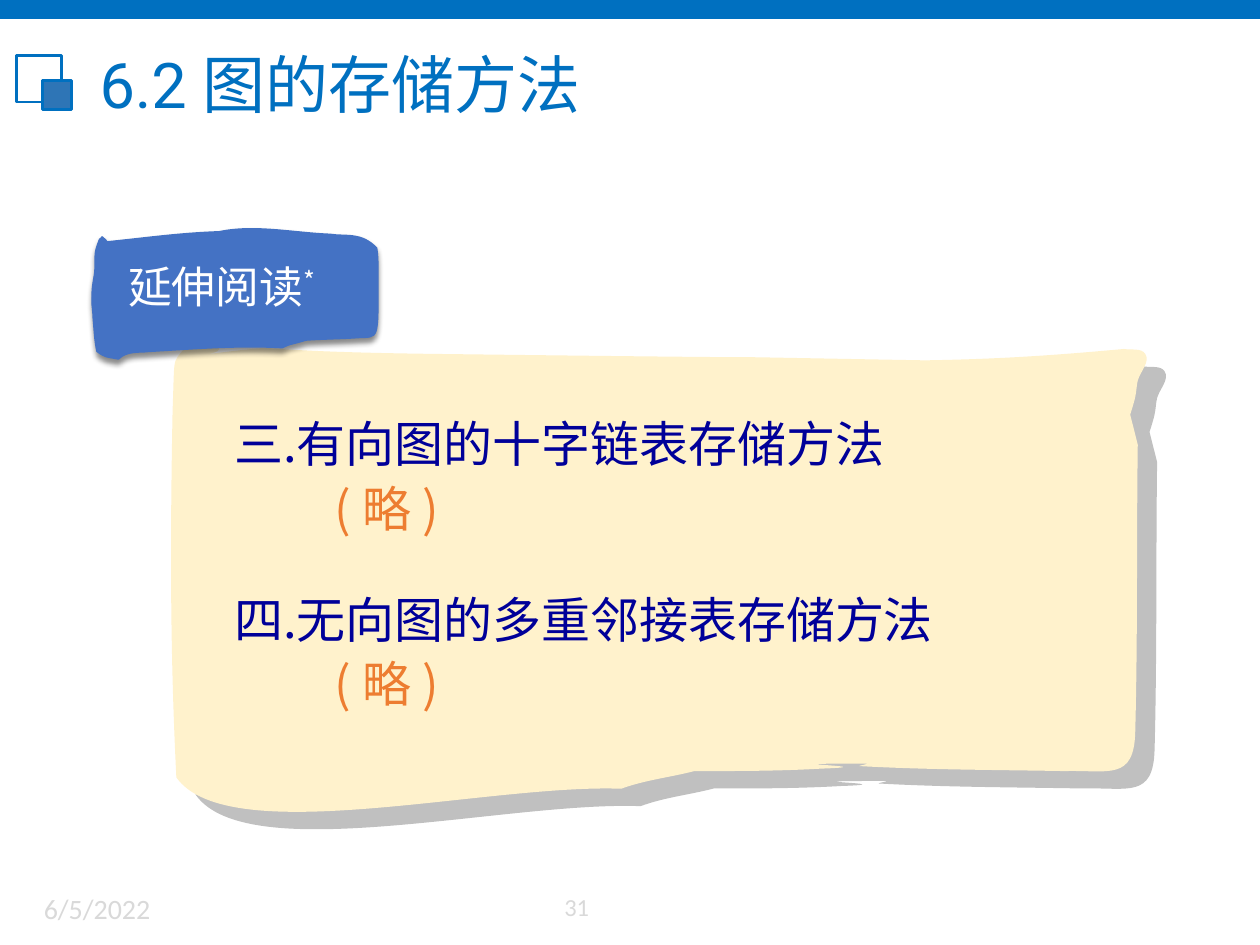
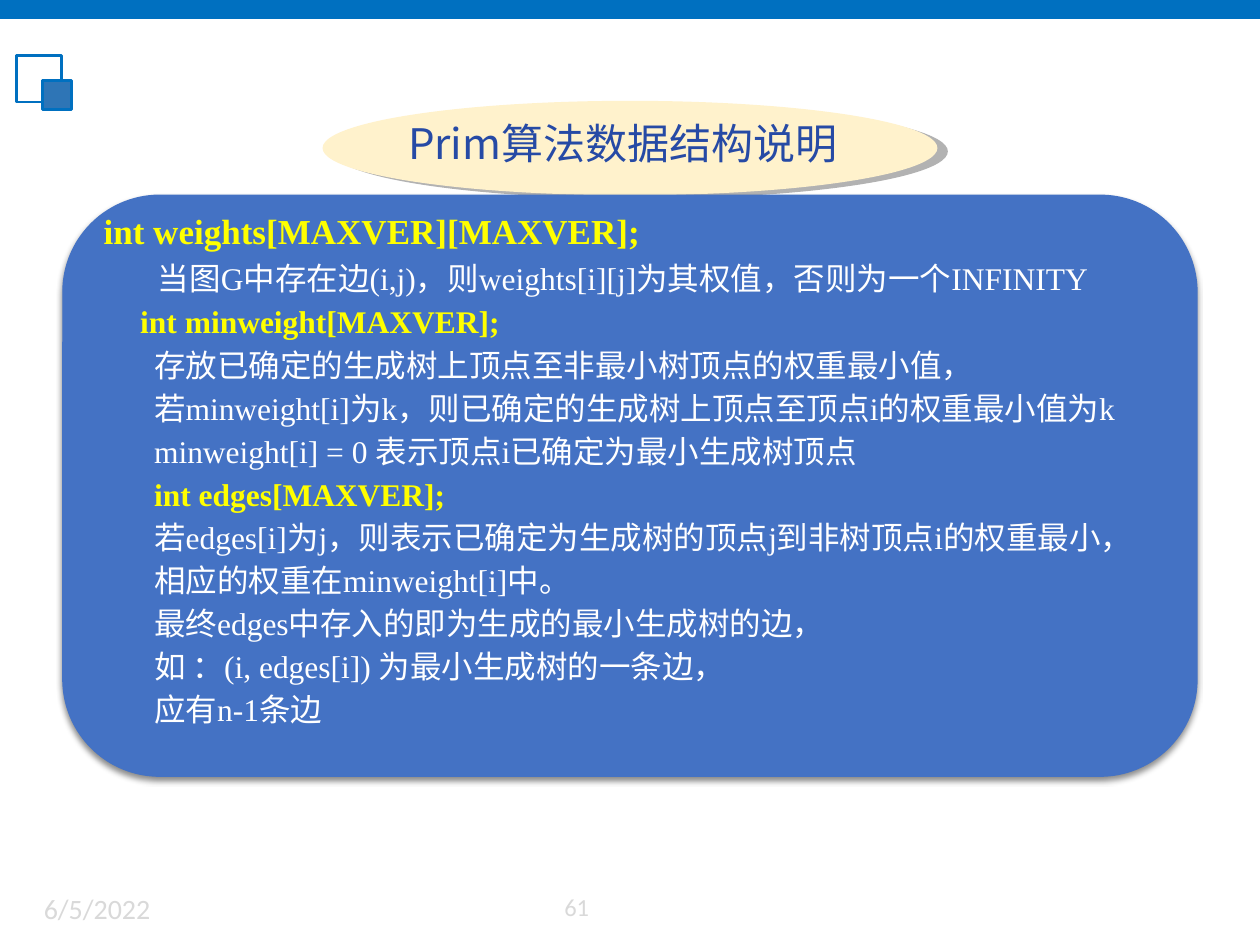
"""Builds two slides on graph storage methods and the data structures of Prim's algorithm."""
from dataclasses import dataclass

from lxml.etree import SubElement
from pptx import Presentation
from pptx.dml.color import RGBColor
from pptx.enum.shapes import MSO_SHAPE
from pptx.enum.text import MSO_ANCHOR, MSO_AUTO_SIZE, PP_ALIGN
from pptx.oxml.ns import qn
from pptx.util import Pt

PX = 9144


@dataclass(frozen=True)
class Theme:
    brand: str = "0070C0"
    icon: str = "2E75B6"
    footer: str = "D9D9D9"
    paper: str = "FFF2CC"
    panel: str = "4472C4"
    heading: str = "000099"
    note: str = "ED7D31"
    caption: str = "264AA5"
    code: str = "FFFF00"
    light: str = "FFFFFF"
    cjk: str = "Noto Sans CJK SC"
    title_font: str = "Roboto"
    footer_font: str = "Calibri"
    code_font: str = "Times New Roman"
    title_size: int = 36
    heading_size: int = 28
    tag_size: int = 25
    caption_size: int = 24
    lead_size: int = 20
    body_size: int = 18
    date_size: int = 16
    page_size: int = 14
    panel_line: float = 0.79
    icon_line: float = 1.5


T = Theme()

PANEL_SHADOW = ("000000", 45, 3, 2.4, 90)
CARD_SHADOW = ("C0C0C0", 100, 0, 14.9, 42)
CAPTION_SHADOW = ("B2B2B2", 100, 0, 6.3, 18)

DATE = "6/5/2022"
TITLE = "6.2 图的存储方法"
TAG = "延伸阅读"
HEADINGS = ["三.有向图的十字链表存储方法", "四.无向图的多重邻接表存储方法"]
NOTE = "( 略 )"
CAPTION = "Prim算法数据结构说明"

PRIM_LINES = [
    (0, "code", "int weights[MAXVER][MAXVER];"),
    (43, "light", "当图G中存在边(i,j)，则weights[i][j]为其权值，否则为一个INFINITY"),
    (29, "code", "int minweight[MAXVER];"),
    (40, "light", "存放已确定的生成树上顶点至非最小树顶点的权重最小值，"),
    (40, "light", "若minweight[i]为k，则已确定的生成树上顶点至顶点i的权重最小值为k"),
    (40, "light", "minweight[i] = 0 表示顶点i已确定为最小生成树顶点"),
    (40, "code", "int edges[MAXVER];"),
    (40, "light", "若edges[i]为j，则表示已确定为生成树的顶点j到非树顶点i的权重最小，"),
    (40, "light", "相应的权重在minweight[i]中。"),
    (40, "light", "最终edges中存入的即为生成的最小生成树的边，"),
    (40, "light", "如 ：(i, edges[i]) 为最小生成树的一条边，"),
    (40, "light", "应有n-1条边"),
]

CARD_CURVE = [
    (165, 281), (241, 272), (174, 279), (354, 281),
    (759, 286), (457, 281), (734, 286), (794, 285), (837, 282), (892, 277),
    (898, 278), (906, 276), (909, 281), (913, 287), (905, 295), (903, 302),
    (902, 306), (902, 311), (901, 315), (900, 320), (897, 329), (897, 329),
    (899, 337), (903, 353), (903, 353), (902, 429), (903, 505), (901, 581),
    (900, 620), (880, 611), (845, 612), (791, 611), (736, 611), (682, 608),
    (680, 608), (691, 606), (688, 606), (591, 606), (711, 608), (652, 610),
    (618, 612), (585, 612), (551, 612), (532, 617), (512, 619), (493, 626),
    (387, 622), (181, 675), (140, 617), (135, 518), (135, 430), (137, 326),
    (139, 272), (136, 294), (152, 268), (171, 272), (152, 267), (167, 275),
    (170, 276), (175, 275), (174, 277), (173, 280), (168, 280), (165, 281),
]
TAG_CURVE = [
    (79, 190), (80, 190), (81, 188), (81, 188), (83, 189), (85, 192), (85, 192),
    (115, 189), (143, 185), (174, 184), (202, 178), (234, 185), (262, 186),
    (274, 188), (287, 184), (299, 197), (300, 204), (300, 209), (300, 218),
    (300, 272), (301, 267), (284, 268), (270, 269), (257, 269), (243, 270),
    (226, 275), (233, 272), (224, 276), (188, 274), (153, 277), (118, 279),
    (112, 280), (101, 278), (94, 285), (84, 283), (84, 284), (77, 279),
    (75, 270), (75, 263), (74, 253), (74, 249), (73, 241), (73, 241),
    (73, 235), (73, 229), (74, 224), (74, 222), (75, 220), (75, 218),
    (76, 212), (75, 204), (76, 199), (77, 195), (78, 193), (79, 190),
]


def emu(*lengths):
    return [n * PX for n in lengths]


def rgb(color):
    return RGBColor.from_string(color)


def style_run(r, size, color, font=T.cjk, bold=False):
    r.font.size, r.font.bold = Pt(size), bold
    r.font.color.rgb = rgb(color)
    r.font.name = font
    SubElement(r._r.get_or_add_rPr(), qn("a:ea")).set("typeface", T.cjk)


def style_shape(sp, fill=None, line=None, width=1.0, shadow=None):
    if fill:
        sp.fill.solid()
        sp.fill.fore_color.rgb = rgb(fill)
    else:
        sp.fill.background()
    if line:
        sp.line.color.rgb, sp.line.width = rgb(line), Pt(width)
    else:
        sp.line.fill.background()
    sp.shadow.inherit = False
    if shadow:
        color, alpha, blur, dist, angle = shadow
        effects = sp._element.spPr.find(qn("a:effectLst"))
        outer = SubElement(effects, qn("a:outerShdw"), blurRad=str(Pt(blur)), dist=str(Pt(dist)),
                           dir=str(angle * 60000), algn="ctr", rotWithShape="0")
        clr = SubElement(outer, qn("a:srgbClr"), val=color)
        SubElement(clr, qn("a:alpha"), val=str(alpha * 1000))


def add_box(s, kind, at, **style):
    sp = s.shapes.add_shape(kind, *emu(*at))
    style_shape(sp, **style)
    return sp


def add_label(s, at, text, size, color, font=T.cjk, wrap=True):
    tf = s.shapes.add_textbox(*emu(*at)).text_frame
    tf.word_wrap, tf.vertical_anchor = wrap, MSO_ANCHOR.TOP
    tf.text = text
    for p in tf.paragraphs:
        style_run(p.runs[0], size, color, font)
    return tf


def add_blob(s, knots, **style):
    fb = s.shapes.build_freeform(*knots[0], scale=PX)
    fb.add_line_segments(knots[1:], close=True)
    sp = fb.convert_to_shape()
    style_shape(sp, **style)
    outline = next(sp._element.iter(qn("a:pathLst")))[0]
    corners = outline.findall(qn("a:lnTo"))
    close = outline.find(qn("a:close"))
    for i in range(0, len(corners), 3):
        curve = SubElement(outline, qn("a:cubicBezTo"))
        for corner in corners[i:i + 3]:
            curve.append(corner[0])
            outline.remove(corner)
    outline.append(close)


def add_page(prs, layout, number):
    s = prs.slides.add_slide(prs.slide_layouts[layout])
    rect = MSO_SHAPE.RECTANGLE
    add_box(s, rect, (0, 0, 1000, 15), fill=T.brand)
    add_box(s, rect, (13, 44, 36, 37), line=T.brand, width=T.icon_line)
    add_box(s, rect, (34, 64, 23, 23), fill=T.icon, line=T.brand, width=T.icon_line)
    add_label(s, (25, 703, 184, 40), DATE, T.date_size, T.footer, T.footer_font)
    add_label(s, (438, 703, 62, 38), str(number), T.page_size, T.footer, T.footer_font)
    return s


def build_storage(prs):
    s = add_page(prs, 5, 31)
    title = s.shapes.title
    title.left, title.top, title.width, title.height = emu(69, 25, 847, 82)
    tf = title.text_frame
    tf.text = TITLE
    tf.vertical_anchor, tf.auto_size = MSO_ANCHOR.MIDDLE, MSO_AUTO_SIZE.NONE
    tf.paragraphs[0].alignment = PP_ALIGN.LEFT
    style_run(tf.paragraphs[0].runs[0], T.title_size, T.brand, T.title_font)

    add_blob(s, CARD_CURVE, fill=T.paper, shadow=CARD_SHADOW)
    tf = add_label(s, (159, 323, 746, 244), "\n".join(HEADINGS), T.heading_size, T.heading)
    tf.margin_left = 27 * PX
    tf.paragraphs[1].space_before = Pt(67)
    for i in range(len(HEADINGS)):
        add_label(s, (256, 375 + 139 * i, 148, 57), NOTE, T.heading_size, T.note, wrap=False)

    add_blob(s, TAG_CURVE, fill=T.panel, line=T.panel, width=T.panel_line, shadow=PANEL_SHADOW)
    tf = add_label(s, (92, 201, 248, 52), TAG, T.tag_size, T.light)
    star = tf.paragraphs[0].add_run()
    star.text = "*"
    style_run(star, T.tag_size, T.light)
    star._r.get_or_add_rPr().set("baseline", "30000")


def build_prim(prs):
    s = add_page(prs, 6, 61)
    add_box(s, MSO_SHAPE.OVAL, (256, 80, 488, 75), fill=T.paper, shadow=CAPTION_SHADOW)
    add_label(s, (314, 88, 404, 51), CAPTION, T.caption_size, T.caption)
    panel = add_box(s, MSO_SHAPE.ROUNDED_RECTANGLE, (50, 155, 900, 461), fill=T.panel,
                    line=T.panel, width=T.panel_line, shadow=PANEL_SHADOW)
    tf = panel.text_frame
    tf.word_wrap, tf.vertical_anchor = False, MSO_ANCHOR.TOP
    tf.margin_top = -12 * PX
    tf.text = "\n".join(text for _, _, text in PRIM_LINES)
    for i, (p, (indent, role, _)) in enumerate(zip(tf.paragraphs, PRIM_LINES)):
        p.alignment, p.line_spacing = PP_ALIGN.LEFT, Pt(24.6)
        p._p.get_or_add_pPr().set("marL", str(indent * PX))
        size = T.body_size if i else T.lead_size
        style_run(p.runs[0], size, getattr(T, role), T.code_font, role == "code")
    tf.paragraphs[1].space_before = Pt(1.5)


def main():
    prs = Presentation()
    prs.slide_width, prs.slide_height = emu(1000, 750)
    build_storage(prs)
    build_prim(prs)
    prs.save("out.pptx")


if __name__ == "__main__":
    main()
